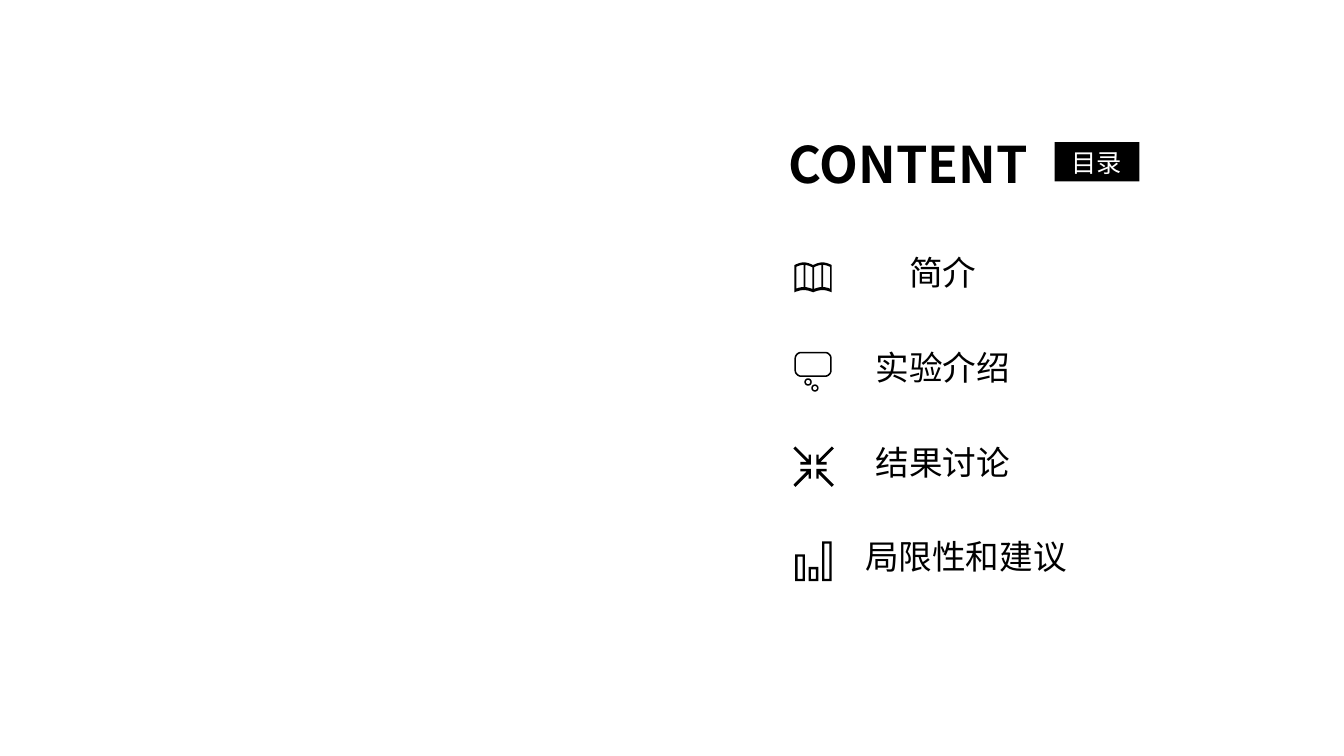
from itertools import product
from math import cos, pi, sin
from lxml.etree import SubElement
from pptx import Presentation
from pptx.dml.color import RGBColor as Rgb
from pptx.enum.shapes import MSO_SHAPE as Shape
from pptx.enum.text import MSO_ANCHOR as Anchor, PP_ALIGN as Align
from pptx.oxml.ns import qn
from pptx.util import Inches, Pt

FONT = "Noto Sans CJK SC"
INK = {"black": "000000", "white": "FFFFFF"}
MIL = Inches(1) / 1000
TOP, STEP = 2.5, 0.94

deck = Presentation()
deck.slide_width, deck.slide_height = Inches(13.33), Inches(7.5)
slide = deck.slides.add_slide(deck.slide_layouts[6])


def write(shapes, words, spot, size, ink="black", align=Align.CENTER, pad=0, bold=False):
    frame = shapes.add_textbox(*map(Inches, spot)).text_frame
    frame.word_wrap = True
    frame.margin_left = frame.margin_right = Inches(pad)
    frame.margin_top = frame.margin_bottom = Inches(pad)
    line = frame.paragraphs[0]
    line.text, line.alignment = words, align
    font = line.font
    font.size, font.bold, font.name = Pt(size), bold, FONT
    font.color.rgb = Rgb.from_string(INK[ink])
    SubElement(font._rPr, qn("a:ea"), typeface=FONT)
    return frame


def ring(x, y, wide, high, curve, inset):
    for gap in (0, inset):
        r = curve - gap
        outline = []
        for turn in range(4):
            mid_x = x + (wide - curve if turn in (0, 3) else curve)
            mid_y = y + (high - curve if turn < 2 else curve)
            for k in range(9):
                a = (turn + k / 8) * pi / 2
                outline.append((mid_x + r * cos(a), mid_y + r * sin(a)))
        yield outline


book = []
leaves = [(7880, 8250, 2630, 2900)]
leaves += [(7900 + 88 * k, 7970 + 88 * k, 2655, 2870) for k in range(4)]
for left, right, top, low in leaves:
    xs = [left + (right - left) * k / 24 for k in range(25)]
    bows = [abs(sin((x - 7880) / 370 * 2 * pi)) for x in xs]
    upper = [(x, top - 27 * bow) for x, bow in zip(xs, bows)]
    lower = [(x, low - 22 * bow) for x, bow in zip(xs, bows)]
    book.append(upper + lower[::-1])

bubble = [
    *ring(7880, 3490, 370, 250, 68, 15),
    *ring(7978, 3753, 74, 74, 37, 15),
    *ring(8047, 3814, 72, 72, 36, 15),
]

arrow = [(180, 200), (50, 70), (50, 120), (26, 120), (26, 21),
         (130, 21), (130, 48), (70, 48), (200, 180)]
arrows = [[(8070 + i * x, 4630 + j * y) for x, y in arrow]
          for i, j in product((-1, 1), repeat=2)]

bars = []
for k, top in enumerate((5500, 5625, 5370)):
    for gap in (0, 23):
        left, right = 7887 + 133 * k + gap, 7983 + 133 * k - gap
        high, low = top + gap, 5765 - gap
        bars.append([(left, high), (right, high), (right, low), (left, low)])

write(slide.shapes, "CONTENT", (7.77, 1.27, 3.23, 0.7), 36, align=Align.LEFT, pad=0.05, bold=True)

badge = slide.shapes.add_group_shape().shapes
plate = badge.add_shape(Shape.RECTANGLE, *map(Inches, (10.46, 1.41, 0.84, 0.39)))
plate.shadow.inherit = False
plate.fill.solid()
plate.fill.fore_color.rgb = Rgb.from_string(INK["black"])
plate.line.fill.background()
tag = write(badge, "目录", (10.46, 1.39, 0.84, 0.45), 18, "white", pad=0.05)
tag.vertical_anchor = Anchor.MIDDLE

items = [("简介", 1.86, book), ("实验介绍", 1.86, bubble),
         ("结果讨论", 1.86, arrows), ("局限性和建议", 2.32, bars)]
for row, (words, wide, icon) in enumerate(items):
    write(slide.shapes, words, (8.42, TOP + STEP * row, wide, 0.46), 24)
    pen = slide.shapes.build_freeform(*icon[0][0], scale=MIL)
    pen.add_line_segments(icon[0][1:])
    for outline in icon[1:]:
        pen.move_to(*outline[0])
        pen.add_line_segments(outline[1:])
    mark = pen.convert_to_shape()
    mark.shadow.inherit = False
    mark.fill.solid()
    mark.fill.fore_color.rgb = Rgb.from_string(INK["black"])
    mark.line.fill.background()

deck.save("out.pptx")
